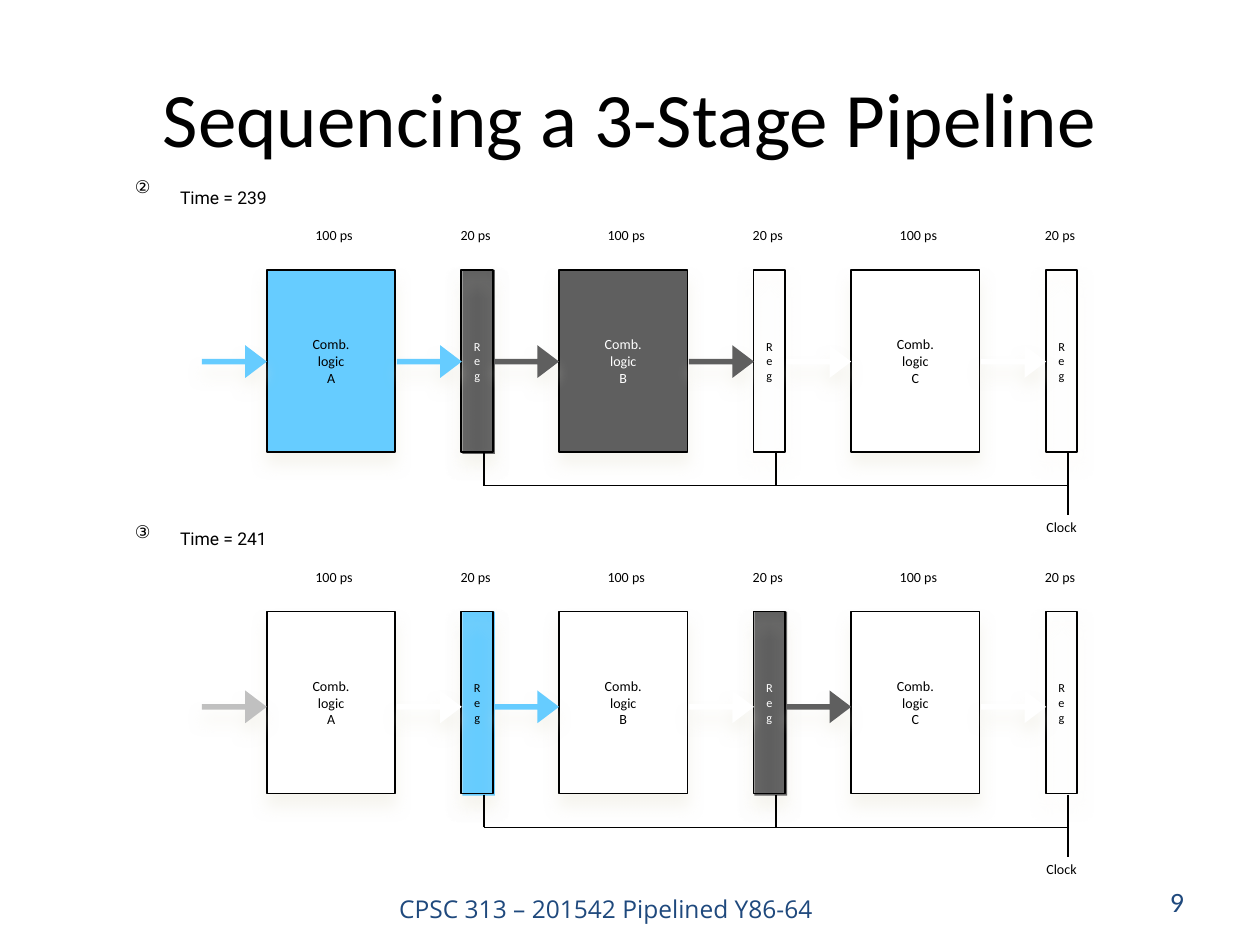
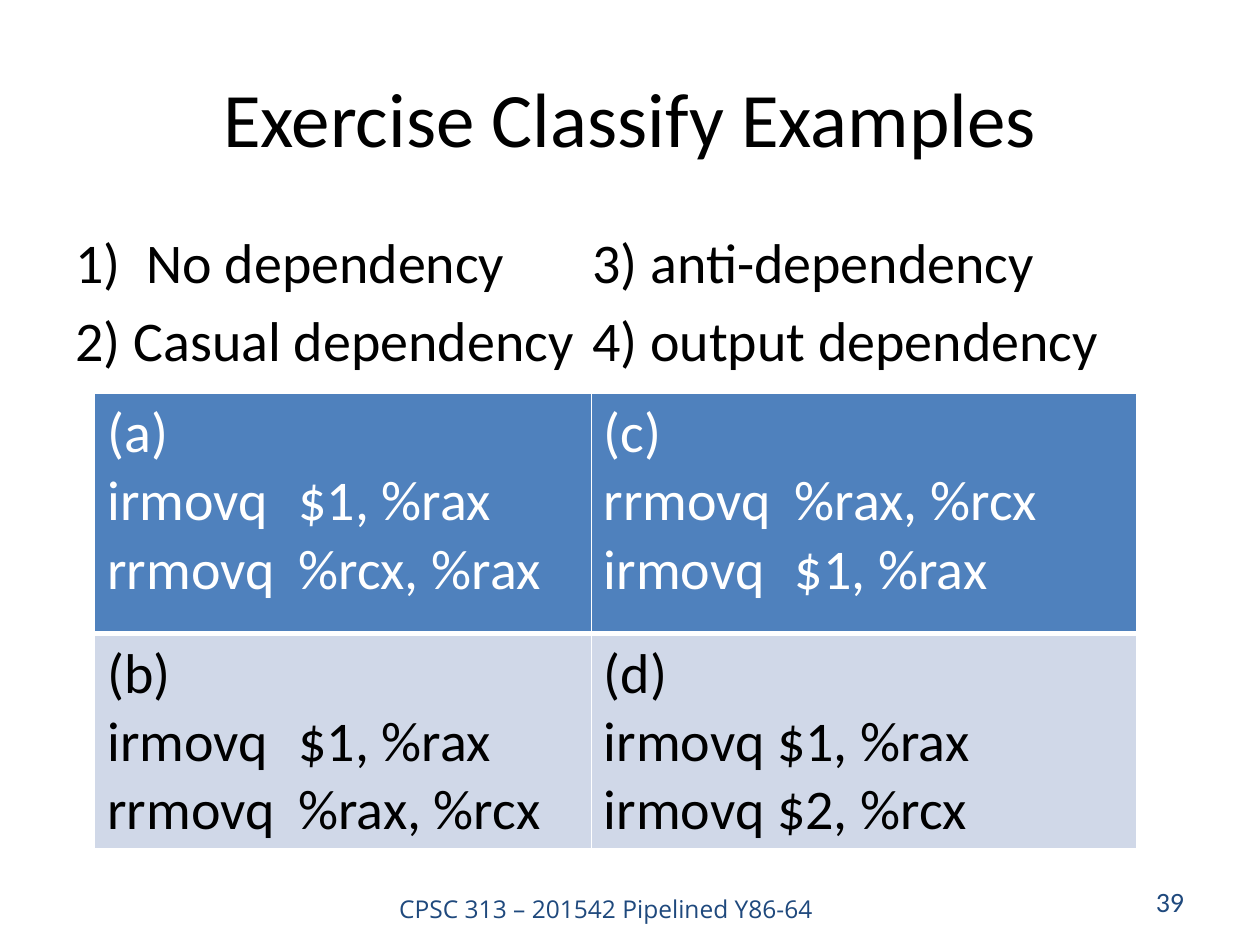
from dataclasses import dataclass

from lxml.etree import SubElement
from pptx import Presentation
from pptx.dml.color import RGBColor
from pptx.dml.fill import FillFormat
from pptx.enum.shapes import MSO_CONNECTOR, MSO_SHAPE
from pptx.enum.text import MSO_ANCHOR, PP_ALIGN
from pptx.oxml.ns import qn
from pptx.shapes.autoshape import Shape
from pptx.slide import Slide
from pptx.table import _Cell
from pptx.text.text import TextFrame
from pptx.util import Cm, Pt

BLACK, WHITE, NAVY = "000000", "FFFFFF", "1F497D"
SKY, DARK, SILVER = "66CCFF", "5F5F5F", "C0C0C0"
HEADER, BAND, SHADOW = "4F81BD", "D0D8E8", "EEECE1"

FOOTER = "CPSC 313 – 201542 Pipelined Y86-64"
STAGE_PITCH = 5.89
LOGIC_LEFT, LOGIC_WIDTH = 5.38, 2.59
REG_LEFT, REG_WIDTH = 9.3, 0.64
BLOCK_HEIGHT = 3.67
ARROW_WIDTH, ARROW_HEIGHT = 1.31, 0.66
TAP_OFFSET = 0.45
OPERAND_TAB = 3.85


@dataclass(frozen=True)
class Box:
    left: float
    top: float
    width: float
    height: float

    def lengths(self) -> tuple[Cm, ...]:
        return tuple(Cm(v) for v in (self.left, self.top, self.width, self.height))


@dataclass(frozen=True)
class Style:
    size: float
    font: str = "Calibri"
    colour: str = BLACK
    align: PP_ALIGN = PP_ALIGN.CENTER


@dataclass(frozen=True)
class Stage:
    name: str
    input: str
    logic: str
    output: str
    register: str | None = None


@dataclass(frozen=True)
class Pipeline:
    badge: str
    time: str
    top: float
    axis: float
    stages: tuple[Stage, ...]


PIPELINES = (
    Pipeline("②", "Time = 239", 5.44, 7.29, (
        Stage("A", SKY, SKY, SKY, DARK),
        Stage("B", DARK, DARK, DARK),
        Stage("C", WHITE, WHITE, WHITE),
    )),
    Pipeline("③", "Time = 241", 12.33, 14.25, (
        Stage("A", SILVER, WHITE, WHITE, SKY),
        Stage("B", SKY, WHITE, WHITE, DARK),
        Stage("C", DARK, WHITE, WHITE),
    )),
)

EXERCISES = (
    ("(a)\nirmovq\t$1, %rax\nrrmovq\t%rcx, %rax",
     "(c)\nrrmovq\t%rax, %rcx\nirmovq\t$1, %rax"),
    ("(b)\nirmovq\t$1, %rax\nrrmovq\t%rax, %rcx",
     "(d)\nirmovq $1, %rax\nirmovq $2, %rcx"),
)


def apply(target: object, values: dict[str, object]) -> None:
    for name, value in values.items():
        setattr(target, name, value)


def paint(fill: FillFormat, colour: str) -> None:
    fill.solid()
    fill.fore_color.rgb = RGBColor.from_string(colour)


def write(frame: TextFrame, text: str, style: Style) -> None:
    frame.text = text
    for paragraph in frame.paragraphs:
        paragraph.alignment = style.align
        for run in paragraph.runs:
            apply(run.font, {"name": style.font, "size": Pt(style.size), "bold": False})
            paint(run.font.fill, style.colour)


def add_text(slide: Slide, box: Box, text: str, style: Style,
             anchor: MSO_ANCHOR = MSO_ANCHOR.MIDDLE, wrap: bool = False) -> None:
    frame = slide.shapes.add_textbox(*box.lengths()).text_frame
    apply(frame, {"word_wrap": wrap, "vertical_anchor": anchor, "margin_left": 0,
                  "margin_right": 0, "margin_top": 0, "margin_bottom": 0})
    write(frame, text, style)


def add_label(slide: Slide, centre: float, middle: float, text: str, style: Style) -> None:
    height = 0.35 * len(text.split("\n"))
    add_text(slide, Box(centre - 0.5, middle - height / 2, 1, height), text, style)


def add_block(slide: Slide, box: Box, colour: str | None, outlined: bool = True,
              kind: MSO_SHAPE = MSO_SHAPE.RECTANGLE) -> Shape:
    block = slide.shapes.add_shape(kind, *box.lengths())
    if colour:
        paint(block.fill, colour)
    else:
        block.fill.background()
    if outlined:
        paint(block.line.fill, BLACK)
        block.line.width = Pt(1)
    else:
        block.line.fill.background()
    block.shadow.inherit = False
    effects = block._element.spPr.find(qn("a:effectLst"))
    outer = SubElement(effects, qn("a:outerShdw"), blurRad=str(Pt(9)), dist=str(Pt(7)),
                       dir="5400000", algn="ctr", rotWithShape="0")
    tint = SubElement(outer, qn("a:srgbClr"), val=SHADOW)
    SubElement(tint, qn("a:alpha"), val="50000")
    return block


def add_arrow(slide: Slide, left: float, axis: float, colour: str) -> None:
    box = Box(left, axis - ARROW_HEIGHT / 2, ARROW_WIDTH, ARROW_HEIGHT)
    arrow = add_block(slide, box, colour, False, MSO_SHAPE.RIGHT_ARROW)
    arrow.adjustments[0] = 0.17
    arrow.adjustments[1] = 0.66


def add_wire(slide: Slide, *ends: float) -> None:
    wire = slide.shapes.add_connector(MSO_CONNECTOR.STRAIGHT, *(Cm(v) for v in ends))
    paint(wire.line.fill, BLACK)
    wire.line.width = Pt(1)
    SubElement(wire._element.spPr, qn("a:effectLst"))


def add_framed_slide(deck: Presentation, layout: int, title: str, number: str) -> Slide:
    slide = deck.slides.add_slide(deck.slide_layouts[layout])
    heading = slide.shapes.title
    place(heading, Box(1.27, 0.76, 22.86, 3.18))
    heading.text_frame.vertical_anchor = MSO_ANCHOR.MIDDLE
    write(heading.text_frame, title, Style(44))
    add_text(slide, Box(7.29, 18.03, 9.86, 0.76), FOOTER,
             Style(14, "Open Sans", NAVY), MSO_ANCHOR.TOP, True)
    add_text(slide, Box(18.21, 17.65, 5.66, 1.02), number,
             Style(16, colour=NAVY, align=PP_ALIGN.RIGHT), wrap=True)
    return slide


def place(shape: Shape, box: Box) -> None:
    apply(shape, dict(zip(("left", "top", "width", "height"), box.lengths())))


def ink_on(colour: str | None) -> str:
    return WHITE if colour == DARK else BLACK


def draw_stage(slide: Slide, stage: Stage, shift: float, top: float, axis: float) -> None:
    logic, register = LOGIC_LEFT + shift, REG_LEFT + shift
    logic_centre, register_centre = logic + LOGIC_WIDTH / 2, register + REG_WIDTH / 2
    middle = top + BLOCK_HEIGHT / 2
    if stage.register:
        glow = Box(register + 0.02, top, REG_WIDTH + 0.02, BLOCK_HEIGHT + 0.04)
        add_block(slide, glow, stage.register, False)
    add_block(slide, Box(register, top, REG_WIDTH, BLOCK_HEIGHT), None)
    add_block(slide, Box(logic, top, LOGIC_WIDTH, BLOCK_HEIGHT), stage.logic)
    add_label(slide, register_centre, middle, "R\ne\ng",
              Style(7, colour=ink_on(stage.register)))
    add_label(slide, logic_centre, middle, f"Comb.\nlogic\n{stage.name}",
              Style(8, colour=ink_on(stage.logic)))
    add_label(slide, logic_centre + 0.06, top - 0.7, "100 ps", Style(8))
    add_label(slide, register_centre - 0.03, top - 0.7, "20 ps", Style(8))
    add_arrow(slide, logic - ARROW_WIDTH, axis, stage.input)
    add_arrow(slide, logic + LOGIC_WIDTH + 0.03, axis, stage.output)


def draw_pipeline(slide: Slide, pipeline: Pipeline) -> None:
    top, axis = pipeline.top, pipeline.axis
    add_text(slide, Box(2.72, axis - 4.21, 1.35, 1.35), pipeline.badge,
             Style(10, "Arial", align=PP_ALIGN.LEFT), wrap=True)
    add_text(slide, Box(3.63, top - 1.68, 1.78, 0.43), pipeline.time,
             Style(10, "Roboto", align=PP_ALIGN.LEFT))
    shifts = [index * STAGE_PITCH for index in range(len(pipeline.stages))]
    for stage, shift in zip(pipeline.stages, shifts):
        draw_stage(slide, stage, shift, top, axis)

    taps = [REG_LEFT + TAP_OFFSET + shift for shift in shifts]
    bus, clock = top + 4.35, top + 4.94
    for tap in taps:
        add_wire(slide, tap, top + 3.69, tap, clock if tap == taps[-1] else bus)
    add_wire(slide, taps[0], bus, taps[-1], bus)
    add_label(slide, taps[-1] - 0.13, clock + 0.25, "Clock", Style(8))


def fill_choices(body: Shape) -> None:
    place(body, Box(1.27, 4.45, 22.86, 12.57))
    write(body.text_frame, "No dependency \t 3) anti-dependency\n"
          "2) Casual dependency\t 4) output dependency", Style(32, align=PP_ALIGN.LEFT))
    first, second = (p._p.get_or_add_pPr() for p in body.text_frame.paragraphs)
    for properties, indent in ((first, Cm(1.43)), (second, Cm(0))):
        properties.set("marL", str(indent))
        properties.set("indent", str(-indent))
    SubElement(first, qn("a:buFont"), typeface="+mj-lt")
    SubElement(first, qn("a:buAutoNum"), type="arabicParenR")
    SubElement(second, qn("a:buNone"))


def fill_exercise(cell: _Cell, code: str, is_header: bool) -> None:
    properties = cell._tc.get_or_add_tcPr()
    for side in "LRTB":
        width = Pt(3) if (is_header, side) in ((True, "B"), (False, "T")) else Pt(1)
        border = SubElement(properties, qn(f"a:ln{side}"), w=str(width))
        SubElement(SubElement(border, qn("a:solidFill")), qn("a:srgbClr"), val=WHITE)
    paint(cell.fill, HEADER if is_header else BAND)
    write(cell.text_frame, code,
          Style(32, colour=WHITE if is_header else BLACK, align=PP_ALIGN.LEFT))
    for paragraph in cell.text_frame.paragraphs:
        if "\t" in paragraph.text:
            stops = SubElement(paragraph._p.get_or_add_pPr(), qn("a:tabLst"))
            SubElement(stops, qn("a:tab"), pos=str(Cm(OPERAND_TAB)), algn="l")


def draw_exercises(slide: Slide) -> None:
    box = Box(1.91, 7.92, 21.01, 9.19)
    exercises = slide.shapes.add_table(2, 2, *box.lengths()).table
    for column, width in zip(exercises.columns, (10.01, 11)):
        column.width = Cm(width)
    for row, height in zip(exercises.rows, (4.85, 4.34)):
        row.height = Cm(height)
    for row_index, codes in enumerate(EXERCISES):
        for column_index, code in enumerate(codes):
            fill_exercise(exercises.cell(row_index, column_index), code, row_index == 0)


def main() -> None:
    deck = Presentation()
    apply(deck, {"slide_width": Cm(25.4), "slide_height": Cm(19.05)})

    sequencing = add_framed_slide(deck, 5, "Sequencing a 3-Stage Pipeline", "9")
    for pipeline in PIPELINES:
        draw_pipeline(sequencing, pipeline)

    classify = add_framed_slide(deck, 1, "Exercise Classify Examples", "39")
    fill_choices(classify.placeholders[1])
    draw_exercises(classify)

    deck.save("out.pptx")


if __name__ == "__main__":
    main()
